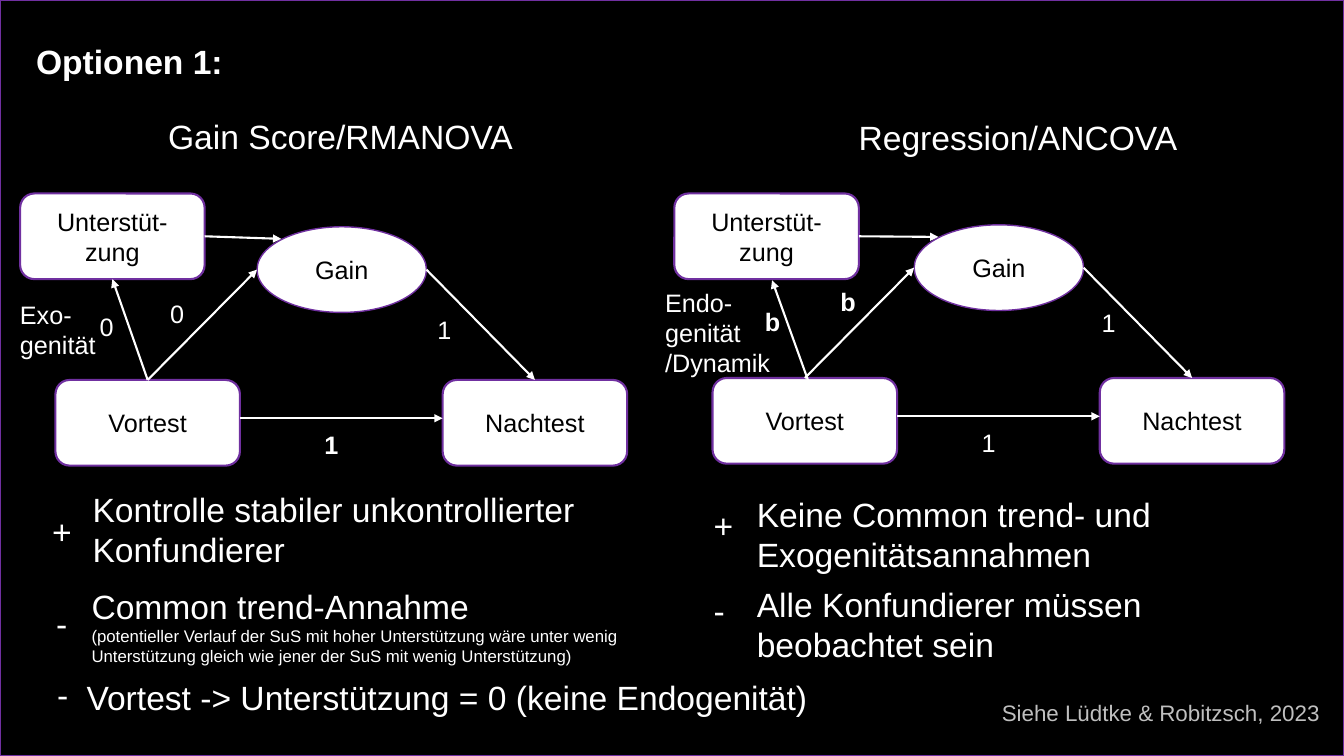
"""Build a slide that compares gain score and regression models."""
from lxml.etree import SubElement
from pptx import Presentation
from pptx.dml.color import RGBColor
from pptx.enum.shapes import MSO_CONNECTOR, MSO_SHAPE
from pptx.enum.text import MSO_ANCHOR, PP_ALIGN
from pptx.oxml.ns import qn
from pptx.util import Pt

BLACK = RGBColor(0x00, 0x00, 0x00)
WHITE = RGBColor(0xFF, 0xFF, 0xFF)
PURPLE = RGBColor(0x70, 0x30, 0xA0)
GREY = RGBColor(0xBF, 0xBF, 0xBF)
FONT = "Arial"
PAGE_WIDTH, PAGE_HEIGHT = 960, 540
BOX_WIDTH, BOX_HEIGHT = 131.8, 61.2
GAIN_WIDTH, GAIN_HEIGHT = 121, 61.2
GAIN_DX, GAIN_DY = 144, -109.4
NACHTEST_DX = 276.6
TEST_ARROW_DY = 27.4

MODELS = [
    {"vortest": (39.6, 271.4), "support": (14.4, 138.2), "support_target": (200.9, 170.6),
     "exogeneity": None},
    {"vortest": (509, 270), "support": (481.7, 138.2), "support_target": (670.3, 169.2),
     "exogeneity": ((577.4, 272.2), (551.5, 200.2))},
]

HEADINGS = [
    ("Optionen 1:", 18.7, 25.9, 359, True),
    ("Gain Score/RMANOVA", 113, 79.2, 359, False),
    ("Regression/ANCOVA", 606.2, 79.9, 359, False),
]
PATH_LABELS = [
    ("1", 224.6, 303.1, True), ("1", 694.1, 301.7, False),
    ("1", 305.3, 221, False), ("1", 779.8, 216, False),
    ("0", 114.5, 209.5, False), ("b", 593.3, 200.9, True),
    ("0", 64.1, 218.9, False), ("b", 539.3, 215.3, True),
]
ASSUMPTION_LABELS = [
    (["Exo-genität"], 7.2, 210.2, 72),
    (["Endo-genität", "/Dynamik"], 468, 201.6, 107.3),
]
SIGNS = [("+", 30.2, 361.4), ("-", 33.1, 427), ("-", 33.8, 478.1),
         ("+", 502.6, 357.1), ("-", 502.6, 417.6)]
ARGUMENTS = [
    (["Kontrolle stabiler unkontrollierter", "Konfundierer"], 59, 345.6, 359.3, (24, 24)),
    (["Common trend-Annahme",
      "(potentieller Verlauf der SuS mit hoher Unterstützung wäre unter wenig "
      "Unterstützung gleich wie jener der SuS mit wenig Unterstützung)"],
     58.3, 414.7, 393.8, (24, 12)),
    (["Vortest -> Unterstützung = 0 (keine Endogenität)"], 54.7, 480.2, 577.4, (24,)),
    (["Keine Common trend- und Exogenitätsannahmen"], 533.5, 349.2, 359.3, (24,)),
    (["Alle Konfundierer müssen beobachtet sein"], 533.5, 413.3, 359.3, (24,)),
]
SOURCE = "Siehe Lüdtke & Robitzsch, 2023"


def write(frame, lines, sizes=(18,), color=WHITE, bold=False, align=PP_ALIGN.LEFT):
    """Fill a text frame with one paragraph per line."""
    frame.word_wrap = True
    for index, line in enumerate(lines):
        para = frame.paragraphs[0] if index == 0 else frame.add_paragraph()
        para.alignment = align
        span = para.add_run()
        span.text = line
        span.font.name = FONT
        span.font.size = Pt(sizes[min(index, len(sizes) - 1)])
        span.font.bold = bold
        span.font.color.rgb = color


def add_text(page, lines, left, top, width=72, **style):
    """Add a text box whose height follows its lines."""
    height = 7.2 + 1.2 * sum(style.get("sizes", (18,)))
    box = page.shapes.add_textbox(Pt(left), Pt(top), Pt(width), Pt(height))
    write(box.text_frame, lines, **style)


def add_node(page, text, left, top, width=BOX_WIDTH, height=BOX_HEIGHT,
             kind=MSO_SHAPE.ROUNDED_RECTANGLE, line_width=1.5):
    """Add a white model node with centred text."""
    node = page.shapes.add_shape(kind, Pt(left), Pt(top), Pt(width), Pt(height))
    node.shadow.inherit = False
    node.fill.solid()
    node.fill.fore_color.rgb = WHITE
    node.line.color.rgb = PURPLE
    node.line.width = Pt(line_width)
    node.text_frame.vertical_anchor = MSO_ANCHOR.MIDDLE
    write(node.text_frame, [text], color=BLACK, align=PP_ALIGN.CENTER)
    return node


def add_arrow(page, start, end, begin_at=None, end_at=None):
    """Add a white arrow, joined to (node, side) pairs where given."""
    ends = [Pt(value) for value in (*start, *end)]
    arrow = page.shapes.add_connector(MSO_CONNECTOR.STRAIGHT, *ends)
    if begin_at:
        arrow.begin_connect(*begin_at)
    if end_at:
        arrow.end_connect(*end_at)
    arrow.line.color.rgb = WHITE
    arrow.line.width = Pt(1.5)
    properties = arrow.line._get_or_add_ln()
    SubElement(properties, qn("a:tailEnd"), type="triangle")
    SubElement(properties.getparent(), qn("a:effectLst"))


def add_model(page, vortest, support, support_target, exogeneity):
    """Add the four nodes and five arrows of one model."""
    left, top = vortest
    gain_left, gain_top = left + GAIN_DX, top + GAIN_DY
    gain_middle = gain_top + GAIN_HEIGHT / 2
    nachtest_left = left + NACHTEST_DX
    vortest_top = (left + BOX_WIDTH / 2, top)
    nachtest_top = (nachtest_left + BOX_WIDTH / 2, top)
    support_right = (support[0] + BOX_WIDTH, support[1] + BOX_HEIGHT / 2)
    support_bottom = (support[0] + BOX_WIDTH / 2, support[1] + BOX_HEIGHT)
    test_y = top + TEST_ARROW_DY

    before = add_node(page, "Vortest", left, top)
    after = add_node(page, "Nachtest", nachtest_left, top)
    add_node(page, "Gain", gain_left, gain_top, GAIN_WIDTH, GAIN_HEIGHT, MSO_SHAPE.OVAL, 1)
    helper = add_node(page, "Unterstüt-zung", *support)

    add_arrow(page, (left + BOX_WIDTH, test_y), (nachtest_left, test_y))
    add_arrow(page, vortest_top, (gain_left, gain_middle), begin_at=(before, 0))
    add_arrow(page, (gain_left + GAIN_WIDTH, gain_middle), nachtest_top, end_at=(after, 0))
    add_arrow(page, support_right, support_target, begin_at=(helper, 3))
    if exogeneity:
        add_arrow(page, *exogeneity)
    else:
        add_arrow(page, vortest_top, support_bottom, begin_at=(before, 0), end_at=(helper, 2))


def main():
    """Create the deck and save it."""
    deck = Presentation()
    deck.slide_width, deck.slide_height = Pt(PAGE_WIDTH), Pt(PAGE_HEIGHT)
    page = deck.slides.add_slide(deck.slide_layouts[6])
    page.background.fill.solid()
    page.background.fill.fore_color.rgb = BLACK

    border = page.shapes.add_shape(MSO_SHAPE.RECTANGLE, 0, 0, Pt(PAGE_WIDTH), Pt(PAGE_HEIGHT))
    border.shadow.inherit = False
    border.fill.background()
    border.line.color.rgb = PURPLE
    border.line.width = Pt(1)

    for model in MODELS:
        add_model(page, **model)
    for text, left, top, width, bold in HEADINGS:
        add_text(page, [text], left, top, width, sizes=(24,), bold=bold)
    for text, left, top, bold in PATH_LABELS:
        add_text(page, [text], left, top, bold=bold)
    for lines, left, top, width in ASSUMPTION_LABELS:
        add_text(page, lines, left, top, width)
    for sign, left, top in SIGNS:
        add_text(page, [sign], left, top, sizes=(24,))
    for lines, left, top, width, sizes in ARGUMENTS:
        add_text(page, lines, left, top, width, sizes=sizes)
    add_text(page, [SOURCE], 708.5, 496.1, 359.3, sizes=(16,), color=GREY)
    deck.save("out.pptx")


if __name__ == "__main__":
    main()
